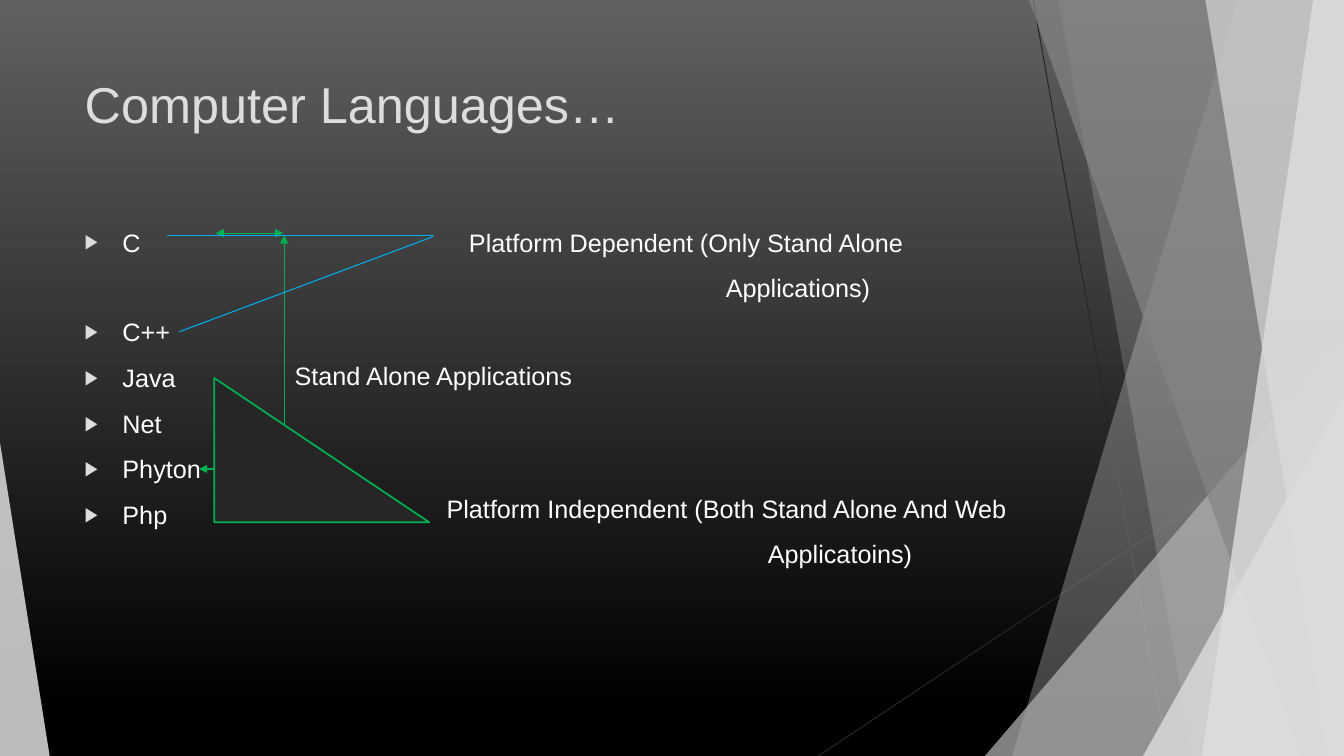
from lxml import etree
from pptx import Presentation
from pptx.dml.color import RGBColor
from pptx.enum.shapes import MSO_CONNECTOR, MSO_SHAPE
from pptx.oxml.ns import qn
from pptx.util import Pt

LINE = MSO_CONNECTOR.STRAIGHT
TRI = MSO_SHAPE.ISOSCELES_TRIANGLE
RIGHT = MSO_SHAPE.RIGHT_TRIANGLE
W, H = 960, 540
PALE, DARK, GREEN, BLUE = "DDDDDD", "262626", "00B050", "00B0F0"
rgb = RGBColor.from_string

deck = Presentation()
deck.slide_width, deck.slide_height = Pt(W), Pt(H)
slide = deck.slides.add_slide(deck.slide_layouts[6])
shapes = slide.shapes


def link(x1, y1, x2, y2, color, heads=False):
    line = shapes.add_connector(LINE, Pt(x1), Pt(y1), Pt(x2), Pt(y2))
    line.line.color.rgb = rgb(color)
    line.line.width = Pt(0.75)
    if heads:
        ln = line.line._get_or_add_ln()
        for end in ("a:headEnd", "a:tailEnd"):
            etree.SubElement(ln, qn(end), type="triangle")
    etree.SubElement(line._element.spPr, qn("a:effectLst"))


def write(x, y, w, h, rows, size, color):
    """Add a text box; each row is (text, space before, left indent)."""
    frame = shapes.add_textbox(Pt(x), Pt(y), Pt(w), Pt(h)).text_frame
    frame.word_wrap = True
    frame.margin_left = frame.margin_right = 0
    frame.margin_top = frame.margin_bottom = 0
    for i, (text, gap, indent) in enumerate(rows):
        para = frame.paragraphs[0] if i == 0 else frame.add_paragraph()
        para.space_before = Pt(gap)
        para._p.get_or_add_pPr().set("marL", str(Pt(indent)))
        run = para.add_run()
        run.text = text
        run.font.name = "Arial"
        run.font.size = Pt(size)
        run.font.color.rgb = rgb(color)
    return frame


# Background gradient
fill = slide.background.fill
fill.gradient()
fill.gradient_angle = 270
for stop, color, place in zip(fill.gradient_stops, ("616161", "000000"), (0, 0.94)):
    stop.color.rgb = rgb(color)
    stop.position = place

# Thin lines behind the facets
link(738, 0, 834, H, DARK)
link(W, 290, 584.5, H, DARK)

# Facets: quads run from (top x, bottom x) to the right edge,
# triangles are (left, top, width, tip)
facets = [
    ((884, 723), PALE, 30),
    ((756, 852), PALE, 20),
    ((703.5, 240, 256.5, 1), "B2B2B2", 72),
    ((735, 929.5), "858585", 70),
    ((938, 858.5), "EBEBEB", 70),
    ((861, 949), PALE, 65),
    ((816.5, 283, 143.5, 1), PALE, 80),
    ((0, 316, 35.5, 0), PALE, 85),
]
for form, color, alpha in facets:
    if len(form) == 2:
        top, low = form
        path = shapes.build_freeform(Pt(top), 0)
        path.add_line_segments([(Pt(W), 0), (Pt(W), Pt(H)), (Pt(low), Pt(H))])
        facet = path.convert_to_shape()
    else:
        x, y, wide, tip = form
        facet = shapes.add_shape(TRI, Pt(x), Pt(y), Pt(wide), Pt(H - y))
        facet.adjustments[0] = tip
    facet.shadow.inherit = False
    facet.line.fill.background()
    facet.fill.solid()
    facet.fill.fore_color.rgb = rgb(color)
    tint = facet._element.spPr.find(".//" + qn("a:srgbClr"))
    etree.SubElement(tint, qn("a:alpha"), val=str(alpha * 1000))

# Title
write(60.5, 52, 662, 96, [("Computer Languages…", 0, 0)], 36, PALE)

# Language list, with one free row after C
top, gap, pitch = 162, 11, 31.67
names = ["C", "C++", "Java", "Net", "Phyton", "Php"]
rows = [(name, gap + pitch if name == "C++" else gap, 27) for name in names]
rows[0] = ("C", 0, 27)
body = write(60.5, top, 130, 240, rows, 18, "FFFFFF")
for para in body.paragraphs:
    props = para._p.get_or_add_pPr()
    props.set("indent", str(-Pt(27)))
    tint = etree.SubElement(props, qn("a:buClr"))
    etree.SubElement(tint, qn("a:srgbClr"), val=PALE)
    etree.SubElement(props, qn("a:buSzPct"), val="80000")
    etree.SubElement(props, qn("a:buFont"), typeface="Arial")
    etree.SubElement(props, qn("a:buChar"), char="▶")

# Notes beside the list: left, row, first line, second line, its indent
notes = [
    (335, 0, "Platform Dependent (Only Stand Alone", "Applications)", 183.5),
    (210.5, 3, "Stand Alone Applications", None, 0),
    (319, 6, "Platform Independent (Both Stand Alone And Web", "Applicatoins)", 229.5),
]
for x, row, first, second, indent in notes:
    rows = [(first, 0, 0)]
    if second:
        rows.append((second, gap, indent))
    write(x, top + row * pitch, 420, 22 * len(rows) + 10, rows, 18, "FFFFFF")

# Arrows and lines
link(154, 166.5, 202.5, 166.5, GREEN, True)
link(203, 168, 203, 334, GREEN, True)
link(202.5, 335, 142, 335, GREEN, True)
link(119, 168, 309.5, 168, BLUE)
link(128, 237, 309.5, 169, BLUE)

# Triangle around the web languages
wedge = shapes.add_shape(RIGHT, Pt(153), Pt(270), Pt(153.5), Pt(103))
wedge.shadow.inherit = False
wedge.fill.solid()
wedge.fill.fore_color.rgb = rgb(DARK)
wedge.line.color.rgb = rgb(GREEN)
wedge.line.width = Pt(1.25)

deck.save("out.pptx")
